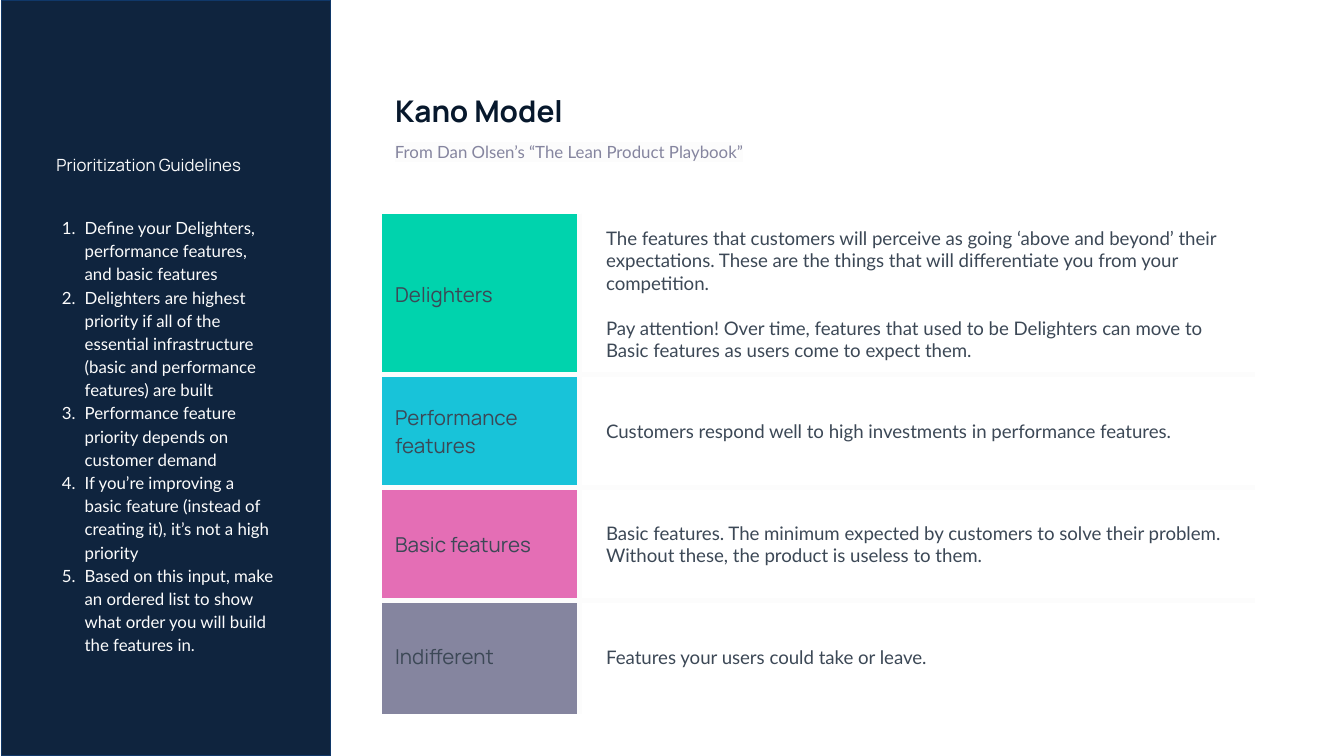
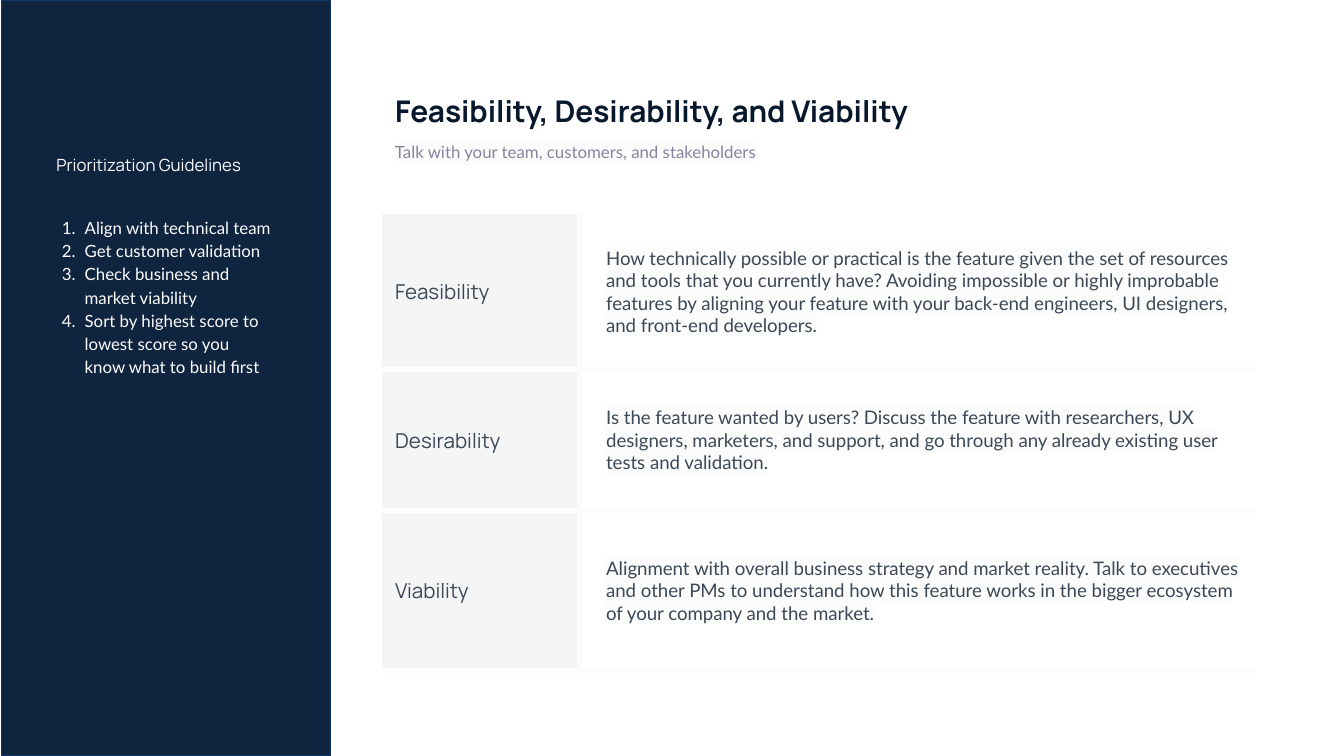
from lxml import etree
from pptx import Presentation
from pptx import util as u
from pptx.dml import color
from pptx.enum import shapes, text
from pptx.oxml import ns

COLORS = {
    "navy": "0F243E",
    "outline": "103869",
    "title": "07182C",
    "body": "3C4856",
    "muted": "85859F",
    "light": "FCFCFC",
    "grey": "F5F5F5",
    "green": "00D3AD",
    "cyan": "18C3D9",
    "pink": "E46EB5",
}
HEADING, BODY = "Manrope", "Lato"
STYLES = {
    "title": ({"size": u.Pt(16), "name": HEADING, "bold": True}, "title"),
    "subtitle": ({"size": u.Pt(9), "name": BODY}, "muted"),
    "guide_heading": ({"size": u.Pt(9), "name": HEADING}, "light"),
    "guide": ({"size": u.Pt(9), "name": BODY}, "light"),
    "label": ({"size": u.Pt(11), "name": HEADING}, "body"),
    "description": ({"size": u.Pt(10), "name": BODY}, "body"),
}
NO_TABLE_STYLE = "{2D5ABB26-0587-4C30-8999-92F81FD0307C}"
SLIDE_WIDTH = 10
SLIDE_HEIGHT = SLIDE_WIDTH * 9 / 16
CONTENT_LEFT = 2.84

SLIDES = [
    {
        "title": "Kano Model",
        "subtitle": "From Dan Olsen’s “The Lean Product Playbook”",
        "guidelines": [
            "Define your Delighters, performance features, and basic features",
            "Delighters are highest priority if all of the essential infrastructure "
            "(basic and performance features) are built",
            "Performance feature priority depends on customer demand",
            "If you’re improving a basic feature (instead of creating it), "
            "it’s not a high priority",
            "Based on this input, make an ordered list to show what order "
            "you will build the features in.",
        ],
        "guide_inset": 0.25,
        "highlight": False,
        "bottom_border": False,
        "rows": [
            ("Delighters", "green", 0.84, [
                "The features that customers will perceive as going ‘above and beyond’ "
                "their expectations. These are the things that will differentiate you "
                "from your competition.",
                "Pay attention! Over time, features that used to be Delighters can move "
                "to Basic features as users come to expect them.",
            ]),
            ("Performance features", "cyan", 0.84, [
                "Customers respond well to high investments in performance features.",
            ]),
            ("Basic features", "pink", 0.84, [
                "Basic features. The minimum expected by customers to solve their "
                "problem. Without these, the product is useless to them.",
            ]),
            ("Indifferent", "muted", 0.84, ["Features your users could take or leave."]),
        ],
    },
    {
        "title": "Feasibility, Desirability, and Viability",
        "subtitle": "Talk with your team, customers, and stakeholders",
        "guidelines": [
            "Align with technical team",
            "Get customer validation",
            "Check business and market viability",
            "Sort by highest score to lowest score so you know what to build first",
        ],
        "guide_inset": 0.27,
        "highlight": True,
        "bottom_border": True,
        "rows": [
            ("Feasibility", "grey", 1.16, [
                "How technically possible or practical is the feature given the set of "
                "resources and tools that you currently have? Avoiding impossible or "
                "highly improbable features by aligning your feature with your back-end "
                "engineers, UI designers, and front-end developers.",
            ]),
            ("Desirability", "grey", 1.05, [
                "Is the feature wanted by users? Discuss the feature with researchers, "
                "UX designers, marketers, and support, and go through any already "
                "existing user tests and validation.",
            ]),
            ("Viability", "grey", 1.19, [
                "Alignment with overall business strategy and market reality. Talk to "
                "executives and other PMs to understand how this feature works in the "
                "bigger ecosystem of your company and the market.",
            ]),
        ],
    },
]


def rgb(name):
    return color.RGBColor.from_string(COLORS[name])


def apply(target, values):
    for name, value in values.items():
        setattr(target, name, value)


def margins(left, top, right, bottom):
    names = ("margin_left", "margin_top", "margin_right", "margin_bottom")
    return dict(zip(names, map(u.Inches, (left, top, right, bottom))))


def add_color(parent, tag, name):
    element = etree.SubElement(parent, ns.qn(tag))
    etree.SubElement(element, ns.qn("a:srgbClr"), val=COLORS[name])
    return element


def write(frame, paragraphs, style, highlight=False, **paragraph_format):
    font_format, font_color = STYLES[style]
    for index, words in enumerate(paragraphs):
        paragraph = frame.add_paragraph() if index else frame.paragraphs[0]
        apply(paragraph, {"alignment": text.PP_ALIGN.LEFT, **paragraph_format})
        run = paragraph.add_run()
        run.text = words
        run.font.fill.solid()
        run.font.fill.fore_color.rgb = rgb(font_color)
        apply(run.font, font_format)
        if highlight:
            properties = run.font._element
            mark = add_color(properties, "a:highlight", "light")
            properties.find(ns.qn("a:latin")).addprevious(mark)


def number(paragraph):
    properties = paragraph._p.get_or_add_pPr()
    properties.set("marL", str(u.Inches(0.21)))
    properties.set("indent", str(u.Inches(-0.17)))
    add_color(properties, "a:buClr", "light")
    etree.SubElement(properties, ns.qn("a:buAutoNum"), type="arabicPeriod")


def set_borders(cell, visible):
    properties = cell._tc.get_or_add_tcPr()
    for index, edge in enumerate("LRTB"):
        line = etree.Element(ns.qn(f"a:ln{edge}"), w=str(u.Pt(3)))
        if edge in visible:
            add_color(line, "a:solidFill", "light")
        else:
            etree.SubElement(line, ns.qn("a:noFill"))
        properties.insert(index, line)


def fill_cell(cell, name):
    cell.fill.solid()
    cell.fill.fore_color.rgb = rgb(name)


def add_plain_table(slide, left, top, widths, heights):
    frame = slide.shapes.add_table(
        len(heights), len(widths), u.Inches(left), u.Inches(top),
        u.Inches(sum(widths)), u.Inches(sum(heights)))
    table = frame.table
    apply(table, {"first_row": False, "horz_banding": False})
    table._tbl.tblPr.find(ns.qn("a:tableStyleId")).text = NO_TABLE_STYLE
    for column, width in zip(table.columns, widths):
        column.width = u.Inches(width)
    for row, height in zip(table.rows, heights):
        row.height = u.Inches(height)
    return table


def add_sidebar(slide):
    band = slide.shapes.add_shape(
        shapes.MSO_SHAPE.RECTANGLE, u.Inches(0.01), 0,
        u.Inches(2.45), u.Inches(SLIDE_HEIGHT))
    band.shadow.inherit = False
    band.fill.solid()
    band.fill.fore_color.rgb = rgb("navy")
    band.line.color.rgb = rgb("outline")
    band.line.width = u.Pt(0.75)


def add_title(slide, words):
    title = slide.shapes.title
    apply(title, {"left": u.Inches(CONTENT_LEFT), "top": u.Inches(0.59),
                  "width": u.Inches(6.36), "height": u.Inches(0.47)})
    apply(title.text_frame, {
        "word_wrap": True, "auto_size": text.MSO_AUTO_SIZE.NONE,
        "vertical_anchor": text.MSO_ANCHOR.TOP, **margins(0.1, 0.1, 0.1, 0.1)})
    write(title.text_frame, [words], "title")


def add_subtitle(slide, words):
    box = slide.shapes.add_textbox(
        u.Inches(CONTENT_LEFT), u.Inches(0.98), u.Inches(4.91), u.Inches(0.35))
    apply(box.text_frame, {
        "word_wrap": True, "auto_size": text.MSO_AUTO_SIZE.SHAPE_TO_FIT_TEXT,
        **margins(0.1, 0.1, 0.1, 0.1)})
    write(box.text_frame, [words], "subtitle", highlight=True)


def add_guidelines(slide, guidelines, right_inset):
    table = add_plain_table(
        slide, 0.22, 0.42, [0.62, 0.64, 0.81], [0.54, 0.54, 0.56, 0.56, 0.13])
    for cell in table.iter_cells():
        fill_cell(cell, "navy")
        set_borders(cell, "")
        apply(cell, margins(0.2, 0.1, 0.2, 0.1))
    for first, last in ((0, 0), (1, 1), (2, 4)):
        table.cell(first, 0).merge(table.cell(last, 2))
    heading, steps = table.cell(1, 0), table.cell(2, 0)
    heading.vertical_anchor = text.MSO_ANCHOR.MIDDLE
    steps.margin_right = u.Inches(right_inset)
    write(heading.text_frame, ["Prioritization Guidelines"], "guide_heading")
    write(steps.text_frame, guidelines, "guide", line_spacing=1.15)
    for paragraph in steps.text_frame.paragraphs:
        number(paragraph)


def add_criteria(slide, rows, highlight, bottom_border):
    table = add_plain_table(
        slide, CONTENT_LEFT, 1.59, [1.47, 5.03], [row[2] for row in rows])
    last = len(rows) - 1
    for index, (label, fill, _, description) in enumerate(rows):
        edges = ("T" if index else "") + ("B" if index < last or bottom_border else "")
        name_cell, text_cell = table.cell(index, 0), table.cell(index, 1)
        fill_cell(name_cell, fill)
        text_cell.fill.background()
        for cell, inner_edge, left in ((name_cell, "R", 0.1), (text_cell, "L", 0.2)):
            set_borders(cell, edges + inner_edge)
            apply(cell, {"vertical_anchor": text.MSO_ANCHOR.MIDDLE,
                         **margins(left, 0.1, 0.1, 0.1)})
        write(name_cell.text_frame, [label], "label")
        write(text_cell.text_frame, description, "description", highlight)
        for paragraph in text_cell.text_frame.paragraphs[1:]:
            paragraph.space_before = u.Pt(12)


def main():
    presentation = Presentation()
    apply(presentation, {"slide_width": u.Inches(SLIDE_WIDTH),
                         "slide_height": u.Inches(SLIDE_HEIGHT)})
    for content in SLIDES:
        slide = presentation.slides.add_slide(presentation.slide_layouts[5])
        add_sidebar(slide)
        add_title(slide, content["title"])
        add_guidelines(slide, content["guidelines"], content["guide_inset"])
        add_criteria(slide, content["rows"], content["highlight"], content["bottom_border"])
        add_subtitle(slide, content["subtitle"])
    presentation.save("out.pptx")


if __name__ == "__main__":
    main()
